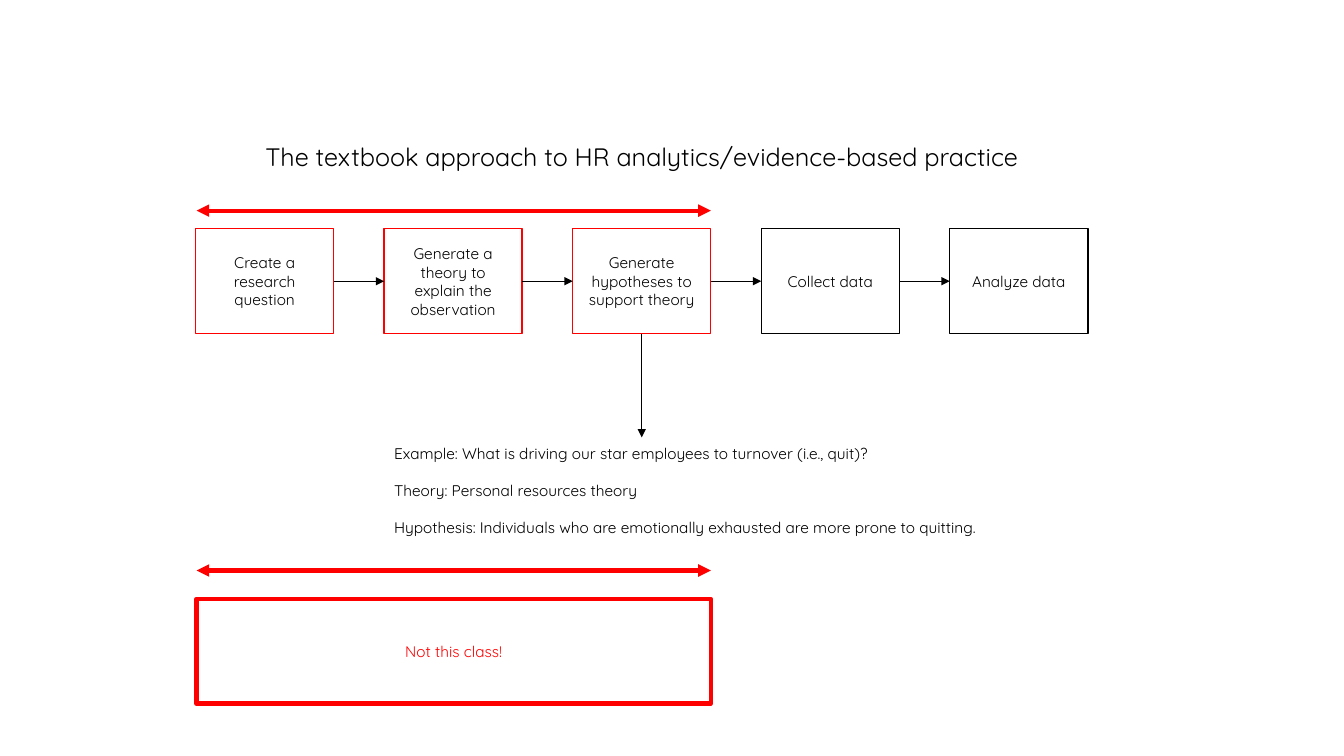
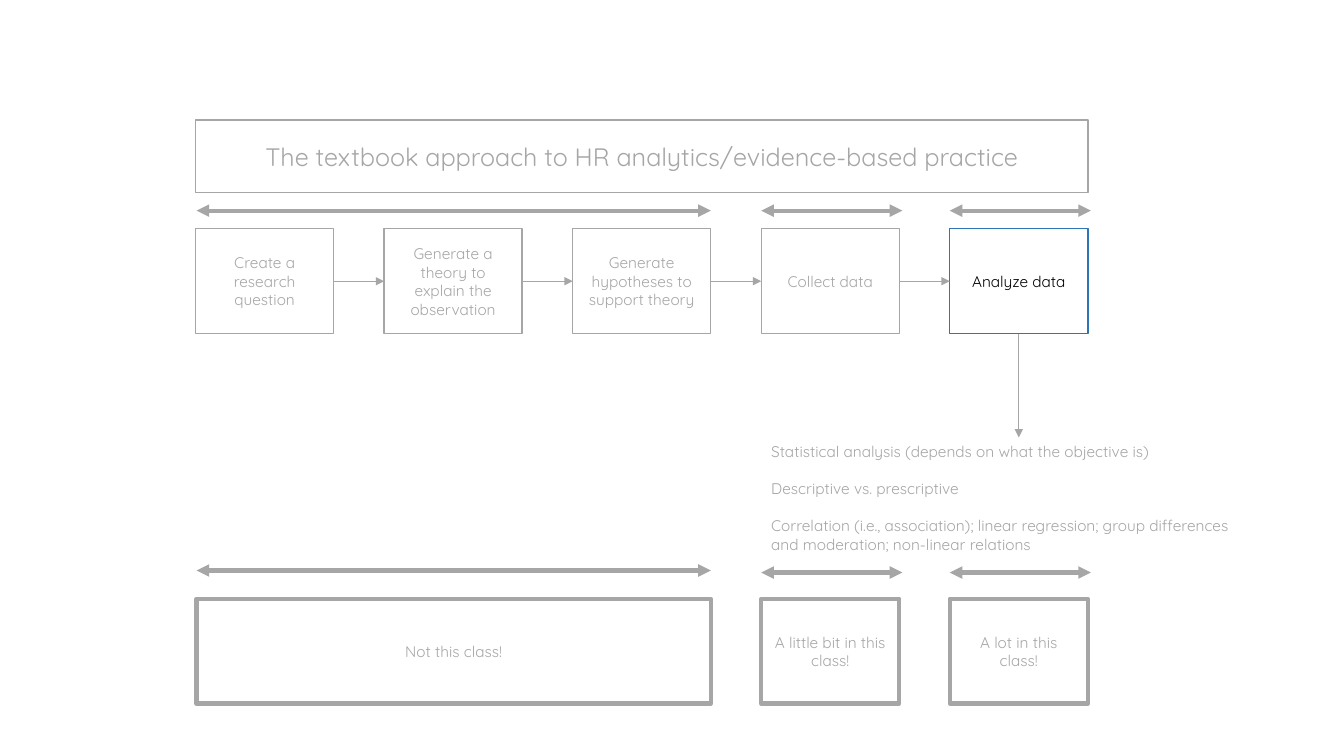
from dataclasses import dataclass
from typing import Optional

from lxml.etree import SubElement
from pptx import Presentation
from pptx.dml.color import RGBColor
from pptx.enum.shapes import MSO_CONNECTOR, MSO_SHAPE
from pptx.enum.text import MSO_ANCHOR, PP_ALIGN
from pptx.oxml.ns import qn
from pptx.slide import Slide
from pptx.util import Inches, Pt

BLACK = RGBColor(0x00, 0x00, 0x00)
RED = RGBColor(0xFF, 0x00, 0x00)
GRAY = RGBColor(0xA6, 0xA6, 0xA6)
BLUE = RGBColor(0x2E, 0x75, 0xB6)

FONT = "Quicksand"
TITLE = "The textbook approach to HR analytics/evidence-based practice"
STEPS = [
    "Create a research question",
    "Generate a theory to explain the observation",
    "Generate hypotheses to support theory",
    "Collect data",
    "Analyze data",
]

STEP_LEFT, STEP_PITCH, STEP_WIDTH = 1.94, 1.87, 1.37
STEP_TOP, BOX_HEIGHT = 2.27, 1.04
STEP_BOTTOM = STEP_TOP + BOX_HEIGHT
FLOW_WIDTH = STEP_PITCH * (len(STEPS) - 1) + STEP_WIDTH
DETAIL_TOP = 4.34
UPPER_SPAN_TOP, COVERAGE_TOP = 2.09, 5.94


@dataclass(frozen=True)
class Frame:
    left: float
    top: float
    width: float
    height: float


@dataclass(frozen=True)
class StepStyle:
    outline: RGBColor
    text: RGBColor


@dataclass(frozen=True)
class Coverage:
    """How far the class covers a span of steps."""
    text: str
    left: float
    box_width: float
    span_width: float
    lower_span_top: float


NOT_COVERED = Coverage("Not this class!", 1.95, 5.1, 5.1, 5.66)
PARTLY_COVERED = Coverage("A little bit in this class!", 7.55, STEP_WIDTH, 1.4, 5.68)
FULLY_COVERED = Coverage("A lot in this class!", 9.42, STEP_WIDTH, 1.4, 5.68)


def add_text(slide: Slide, frame: Frame, *paragraphs: str, color: RGBColor,
             size: float = 11, align: PP_ALIGN = PP_ALIGN.CENTER, gap: float = 0,
             outline: Optional[RGBColor] = None, weight: float = 1) -> None:
    """Add text in an outlined rectangle, or in a text box without an outline."""
    place = [Inches(value) for value in (frame.left, frame.top, frame.width, frame.height)]
    if outline is None:
        shape = slide.shapes.add_textbox(*place)
    else:
        shape = slide.shapes.add_shape(MSO_SHAPE.RECTANGLE, *place)
        shape.shadow.inherit = False
        shape.fill.background()
        shape.line.color.rgb = outline
        shape.line.width = Pt(weight)
    text_frame = shape.text_frame
    text_frame.word_wrap = True
    text_frame.vertical_anchor = MSO_ANCHOR.MIDDLE
    for index, text in enumerate(paragraphs):
        paragraph = text_frame.add_paragraph() if index else text_frame.paragraphs[0]
        paragraph.alignment = align
        if index and gap:
            paragraph.space_before = Pt(gap)
        run = paragraph.add_run()
        run.text = text
        run.font.name = FONT
        run.font.size = Pt(size)
        run.font.color.rgb = color


def add_arrow(slide: Slide, start: tuple[float, float], end: tuple[float, float],
              color: RGBColor, weight: float = 0.5, both_ends: bool = False) -> None:
    connector = slide.shapes.add_connector(
        MSO_CONNECTOR.STRAIGHT, *(Inches(value) for value in start + end))
    connector.line.color.rgb = color
    connector.line.width = Pt(weight)
    properties = connector.element.spPr
    line = properties.find(qn("a:ln"))
    for tag in ["a:headEnd", "a:tailEnd"] if both_ends else ["a:tailEnd"]:
        SubElement(line, qn(tag)).set("type", "triangle")
    SubElement(properties, qn("a:effectLst"))


def step_left(index: int) -> float:
    return STEP_LEFT + STEP_PITCH * index


def add_title(slide: Slide, color: RGBColor, outline: Optional[RGBColor] = None) -> None:
    add_text(slide, Frame(STEP_LEFT, 1.19, FLOW_WIDTH, 0.72), TITLE,
             color=color, size=18, outline=outline)


def add_flow(slide: Slide, styles: list[StepStyle], arrow_color: RGBColor) -> None:
    """Add the row of steps and the arrows between them."""
    middle = STEP_TOP + BOX_HEIGHT / 2
    for index, (step, style) in enumerate(zip(STEPS, styles)):
        left = step_left(index)
        add_text(slide, Frame(left, STEP_TOP, STEP_WIDTH, BOX_HEIGHT), step,
                 color=style.text, outline=style.outline)
        if index:
            add_arrow(slide, (step_left(index - 1) + STEP_WIDTH, middle),
                      (left, middle), arrow_color)


def add_detail(slide: Slide, step: int, frame: Frame, *paragraphs: str,
               color: RGBColor) -> None:
    """Add an arrow down from a step and the text that explains it."""
    center = step_left(step) + STEP_WIDTH / 2
    add_arrow(slide, (center, STEP_BOTTOM), (center, DETAIL_TOP), color)
    add_text(slide, frame, *paragraphs, color=color, align=PP_ALIGN.LEFT, gap=13.2)


def add_coverage(slide: Slide, coverage: Coverage, color: RGBColor) -> None:
    """Add a span arrow above the steps, another below, and the labelled box."""
    for top in (UPPER_SPAN_TOP, coverage.lower_span_top):
        add_arrow(slide, (coverage.left, top), (coverage.left + coverage.span_width, top),
                  color, weight=3, both_ends=True)
    add_text(slide, Frame(coverage.left, COVERAGE_TOP, coverage.box_width, BOX_HEIGHT),
             coverage.text, color=color, outline=color, weight=3)


def build_hypothesis_slide(slide: Slide) -> None:
    add_title(slide, BLACK)
    add_flow(slide, [StepStyle(RED, BLACK)] * 3 + [StepStyle(BLACK, BLACK)] * 2, BLACK)
    add_detail(
        slide, 2, Frame(step_left(1), DETAIL_TOP, FLOW_WIDTH, BOX_HEIGHT),
        "Example: What is driving our star employees to turnover (i.e., quit)?",
        "Theory: Personal resources theory",
        "Hypothesis: Individuals who are emotionally exhausted are more prone to quitting.",
        color=BLACK)
    add_coverage(slide, NOT_COVERED, RED)


def build_analysis_slide(slide: Slide) -> None:
    add_title(slide, GRAY, outline=GRAY)
    add_flow(slide, [StepStyle(GRAY, GRAY)] * 4 + [StepStyle(BLUE, BLACK)], GRAY)
    add_detail(
        slide, 4, Frame(step_left(3), 4.15, 4.9, 1.58),
        "Statistical analysis (depends on what the objective is)",
        "Descriptive vs. prescriptive",
        "Correlation (i.e., association); linear regression; group differences "
        "and moderation; non-linear relations",
        color=GRAY)
    for coverage in (NOT_COVERED, PARTLY_COVERED, FULLY_COVERED):
        add_coverage(slide, coverage, GRAY)


def main() -> None:
    presentation = Presentation()
    presentation.slide_width = Inches(13.33)
    presentation.slide_height = Inches(7.5)
    blank_layout = presentation.slide_layouts[6]
    for build in (build_hypothesis_slide, build_analysis_slide):
        build(presentation.slides.add_slide(blank_layout))
    presentation.save("out.pptx")


if __name__ == "__main__":
    main()
